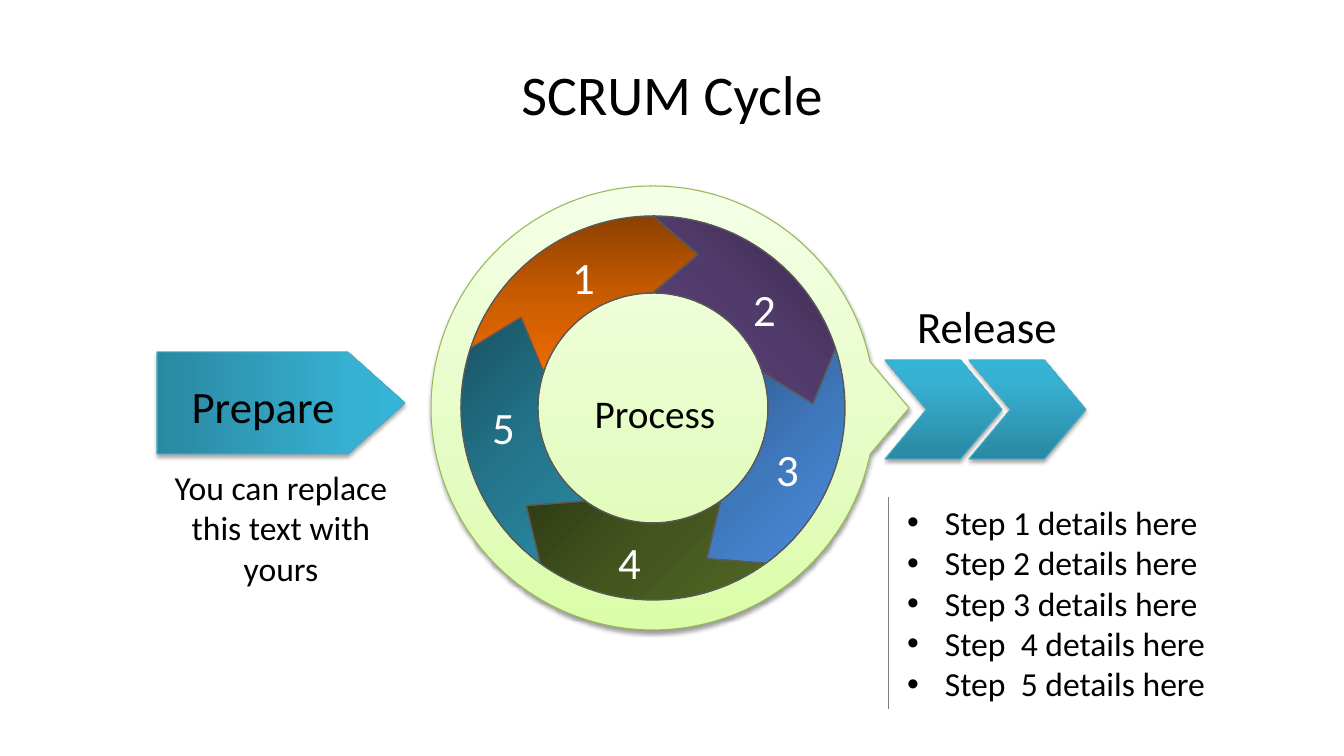
"""Build the SCRUM Cycle slide."""
from math import cos, radians, sin

from pptx import Presentation
from pptx.dml.color import RGBColor
from pptx.enum.shapes import MSO_CONNECTOR as Connector, MSO_SHAPE as Shape
from pptx.enum.text import MSO_ANCHOR as Anchor, MSO_AUTO_SIZE as AutoSize, PP_ALIGN as Align
from pptx.oxml import parse_xml
from pptx.oxml.ns import nsdecls, qn
from pptx.util import Emu, Pt

SCALE = 914400 / 100.8
FONT = "Calibri"
COLORS = {
    "text": "000000", "number": "FFFFFF", "rule": "808080",
    "arrow_line": "46AAC5", "callout_line": "98B955", "segment_line": "595959",
}
ARROW_STOPS = {0: "2A88A2", 80: "37B1D2", 100: "34B4D6"}
CALLOUT_STOPS = {0: "DAFDA7", 35: "E4FCC2", 100: "F5FFE7"}
CENTER = (653, 408)
OUTER, INNER, TIP = 192, 115, 160
SWEEP, LEAD, FIRST_START = 72, 16.4, 198
CALLOUT_RADIUS, CALLOUT_GAP, CALLOUT_TIP = 222, 12, 256
SEGMENTS = [
    ("1", (562, 245), 90, ("8D4000", "C85B00", "EE6B00")),
    ("2", (743, 277), 135, ("39294B", "513B6B", "60467E")),
    ("3", (766, 437), 45, ("2D5484", "3F77BB", "4B8DDE")),
    ("4", (608, 530), 45, ("303D15", "44561E", "516624")),
    ("5", (482, 395), 45, ("185261", "23748A", "298AA3")),
]
DETAILS = [
    "Step 1 details here", "Step 2 details here", "Step 3 details here",
    "Step  4 details here", "Step  5 details here",
]


def px(value):
    return Emu(round(value * SCALE))


def rgb(name):
    return RGBColor.from_string(COLORS[name])


def polar(radius, degrees):
    angle = radians(degrees)
    return px(CENTER[0] + radius * cos(angle)), px(CENTER[1] + radius * sin(angle))


def arc(radius, start, end, steps):
    return [polar(radius, start + (end - start) * step / steps) for step in range(steps + 1)]


def style(shape, stops, angle, line, width, shadow_alpha=0):
    shape.fill.background()
    marks = "".join(
        f'<a:gs pos="{place * 1000}"><a:srgbClr val="{color}"/></a:gs>'
        for place, color in stops.items()
    )
    properties = shape._element.spPr
    gradient = parse_xml(
        f'<a:gradFill {nsdecls("a")} rotWithShape="1"><a:gsLst>{marks}</a:gsLst>'
        f'<a:lin ang="{angle * 60000}" scaled="0"/></a:gradFill>'
    )
    properties.replace(properties.find(qn("a:noFill")), gradient)
    shape.line.color.rgb = rgb(line)
    shape.line.width = Pt(width)
    shape.shadow.inherit = False
    if shadow_alpha:
        properties.find(qn("a:effectLst")).append(parse_xml(
            f'<a:outerShdw {nsdecls("a")} blurRad="{Pt(3.1)}" dist="{Pt(1.8)}" '
            f'dir="5400000" rotWithShape="0"><a:srgbClr val="000000">'
            f'<a:alpha val="{shadow_alpha * 1000}"/></a:srgbClr></a:outerShdw>'
        ))


def add_outline(page, points):
    builder = page.shapes.build_freeform(*points[0])
    builder.add_line_segments(points[1:], close=True)
    return builder.convert_to_shape()


def add_arrow(page, kind, left, top, width, height, adjustment, angle):
    arrow = page.shapes.add_shape(kind, px(left), px(top), px(width), px(height))
    arrow.adjustments[0] = adjustment
    style(arrow, ARROW_STOPS, angle, "arrow_line", 0.75, 35)


def write(para, text, size, color="text"):
    span = para.add_run()
    span.text = text
    span.font.name = FONT
    span.font.size = Pt(size)
    span.font.color.rgb = rgb(color)


def add_label(page, text, left, top, width, height, size, color="text"):
    box = page.shapes.add_textbox(px(left), px(top), px(width), px(height))
    box.text_frame.word_wrap = True
    para = box.text_frame.paragraphs[0]
    para.alignment = Align.CENTER
    write(para, text, size, color)


def add_callout(page):
    points = arc(CALLOUT_RADIUS, CALLOUT_GAP, 360 - CALLOUT_GAP, 168)
    callout = add_outline(page, points + [polar(CALLOUT_TIP, 0)])
    style(callout, CALLOUT_STOPS, 270, "callout_line", 0.75, 38)


def add_segment(page, start, angle, colors):
    end = start + SWEEP
    points = arc(OUTER, start, end, 32) + [polar(TIP, end + LEAD)]
    points += arc(INNER, end, start, 32) + [polar(TIP, start + LEAD)]
    style(add_outline(page, points), dict(zip((0, 50, 100), colors)), angle, "segment_line", 1)


def add_rule(page, left, top, bottom):
    rule = page.shapes.add_connector(Connector.STRAIGHT, px(left), px(top), px(left), px(bottom))
    rule.line.color.rgb = rgb("rule")
    rule.line.width = Pt(0.75)
    rule._element.spPr.append(parse_xml(f'<a:effectLst {nsdecls("a")}/>'))


def place(holder, left, top, width, height, anchor):
    holder.left, holder.top, holder.width, holder.height = map(px, (left, top, width, height))
    frame = holder.text_frame
    frame.word_wrap = True
    frame.auto_size = AutoSize.NONE
    frame.vertical_anchor = anchor
    return frame


def fill_title(page, text):
    frame = place(page.shapes.title, 67, 30, 1210, 126, Anchor.MIDDLE)
    frame.paragraphs[0].alignment = Align.CENTER
    write(frame.paragraphs[0], text, 40)


def fill_details(page, items):
    frame = place(page.placeholders[1], 897, 497, 338, 214, Anchor.TOP)
    for index, item in enumerate(items):
        para = frame.add_paragraph() if index else frame.paragraphs[0]
        para.space_before = Pt(0)
        write(para, item, 24)


def main():
    deck = Presentation()
    deck.slide_width, deck.slide_height = px(1344), px(756)
    page = deck.slides.add_slide(deck.slide_layouts[1])
    fill_title(page, "SCRUM Cycle")
    for left in (885, 969):
        add_arrow(page, Shape.CHEVRON, left, 360, 117, 99, 0.42, 270)
    add_label(page, "Release", 901, 294, 172, 65, 32)
    add_rule(page, 889, 497, 709)
    fill_details(page, DETAILS)
    add_callout(page)
    add_label(page, "Process", 570, 384, 170, 57, 28)
    for index, (number, (left, top), angle, colors) in enumerate(SEGMENTS):
        add_segment(page, FIRST_START + SWEEP * index, angle, colors)
        add_label(page, number, left, top, 43, 65, 32, "number")
    add_arrow(page, Shape.PENTAGON, 157, 352, 248, 102, 0.56, 0)
    add_label(page, "Prepare", 165, 374, 196, 65, 32)
    add_label(page, "You can replace this text with yours", 164, 462, 234, 132, 24)
    deck.save("out.pptx")


if __name__ == "__main__":
    main()
